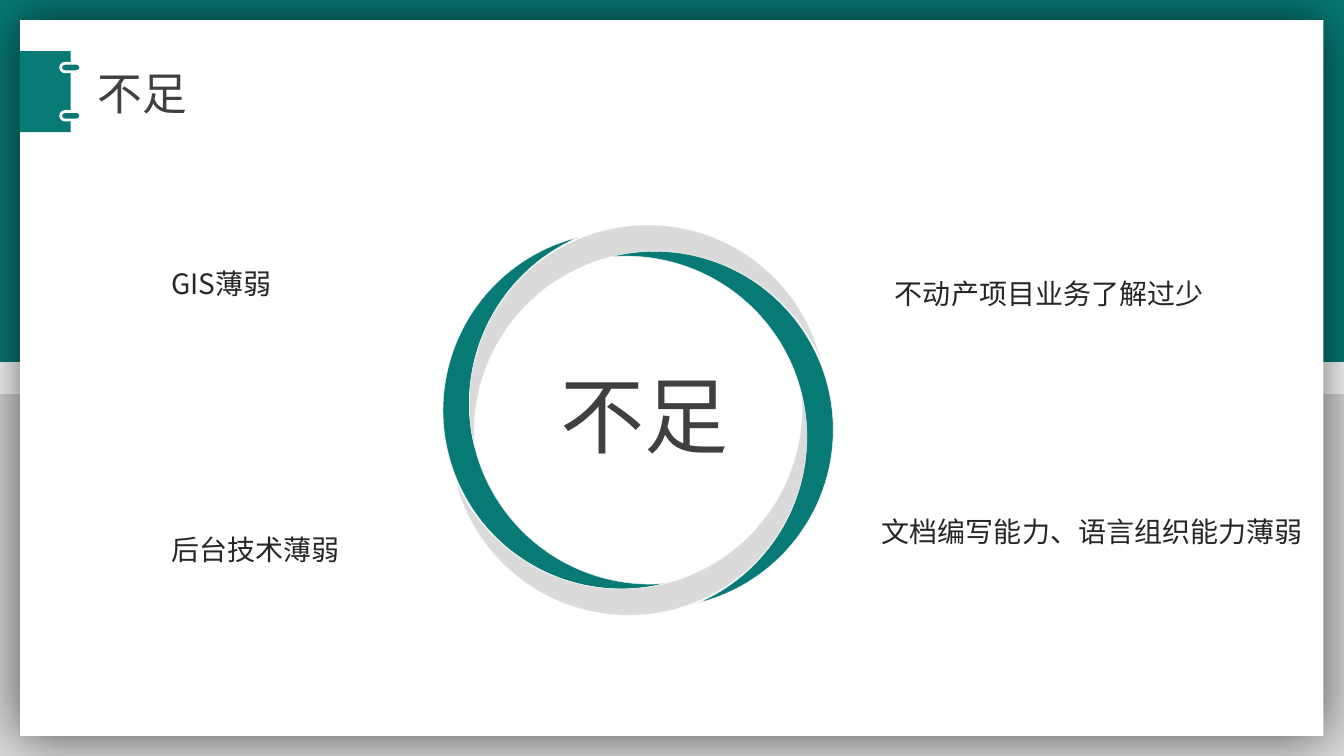
"""Build the slide on shortcomings: a framed card, a ring of four moons and four points."""
from math import cos, radians, sin

from lxml import etree
from pptx import Presentation
from pptx.dml.color import RGBColor
from pptx.enum.shapes import MSO_SHAPE
from pptx.enum.text import MSO_ANCHOR, PP_ALIGN
from pptx.oxml.ns import qn
from pptx.util import Pt

RECT, ROUND, MOON = MSO_SHAPE.RECTANGLE, MSO_SHAPE.ROUNDED_RECTANGLE, MSO_SHAPE.MOON
TOP, LEFT = MSO_ANCHOR.TOP, PP_ALIGN.LEFT
TEAL = RGBColor(0x07, 0x7A, 0x76)
GREY = RGBColor(0xDA, 0xDA, 0xDA)
WHITE = RGBColor(0xFF, 0xFF, 0xFF)
PALE = RGBColor(0xF8, 0xF8, 0xF8)
DARK = RGBColor(0x40, 0x40, 0x40)
INK = RGBColor(0x26, 0x26, 0x26)
SANS, SANS_JP = "Noto Sans CJK SC", "Noto Sans CJK JP"

deck = Presentation()
deck.slide_width, deck.slide_height = Pt(960), Pt(540)
slide = deck.slides.add_slide(deck.slide_layouts[5])
shapes = slide.shapes


def draw(kind, box, fill, line=None, width=0):
    item = shapes.add_shape(kind, *map(Pt, box))
    item.shadow.inherit = False
    item.fill.solid()
    item.fill.fore_color.rgb = fill
    if line is None:
        item.line.fill.background()
    else:
        item.line.color.rgb = line
        item.line.width = Pt(width)
    return item


def write(item, box, text, size, color, font=SANS, space=1):
    item.left, item.top, item.width, item.height = map(Pt, box)
    frame = item.text_frame
    frame.text = text
    frame.word_wrap = True
    frame.vertical_anchor = TOP
    para = frame.paragraphs[0]
    para.alignment = LEFT
    para.line_spacing = space
    run = para.runs[0]
    run.font.size = Pt(size)
    run.font.color.rgb = color
    run.font.name = font
    etree.SubElement(run.font._element, qn("a:ea"), typeface=font)


draw(RECT, (0, 0, 960, 258.5), TEAL)
draw(RECT, (0, 281.5, 960, 258.5), GREY)
card = draw(RECT, (14.4, 14.4, 931, 511.2), WHITE)
glow = etree.SubElement(card._element.spPr.find(qn("a:effectLst")), qn("a:outerShdw"),
                        blurRad=str(Pt(40)), dist="0", algn="ctr", rotWithShape="0")
shade = etree.SubElement(glow, qn("a:srgbClr"), val="000000")
etree.SubElement(shade, qn("a:alpha"), val="63000")

draw(RECT, (14, 36.5, 36.5, 58), TEAL)
for top in (41, 75.5):
    ring = draw(ROUND, (47.5, top, 6, 14.4), TEAL, WHITE, 2)
    ring.adjustments[0] = 0.5
    ring.rotation = 90

wide, tall, reach = 127.4, 254.9, 74.2
for spin, fill in ((345.9, TEAL), (75.9, GREY), (255.9, GREY), (165.9, TEAL)):
    angle = radians(spin - 172.6)
    left = 455.8 + reach * cos(angle) - wide / 2
    top = 300.1 + reach * sin(angle) - tall / 2
    moon = draw(MOON, (left, top, wide, tall), fill, PALE, 0.25)
    moon.adjustments[0] = 0.152
    moon.rotation = spin

points = (
    ("GIS薄弱", (115.2, 162.7, 217.4, 48.2)),
    ("不动产项目业务了解过少", (632.2, 170, 256.3, 55.4)),
    ("后台技术薄弱", (115.2, 352.8, 217.4, 48.2)),
    ("文档编写能力、语言组织能力薄弱", (622.8, 340, 320.4, 55.4)),
)
for text, box in points:
    write(shapes.add_textbox(0, 0, 0, 0), box, text, 20, INK, space=2)

title = shapes.title
shapes._spTree.append(title._element)
write(title, (62.6, 43.2, 322.6, 46), "不足", 32, DARK)
write(shapes.add_textbox(0, 0, 0, 0), (393.1, 256.3, 136.8, 80), "不足", 60, DARK, SANS_JP)

deck.save("out.pptx")
